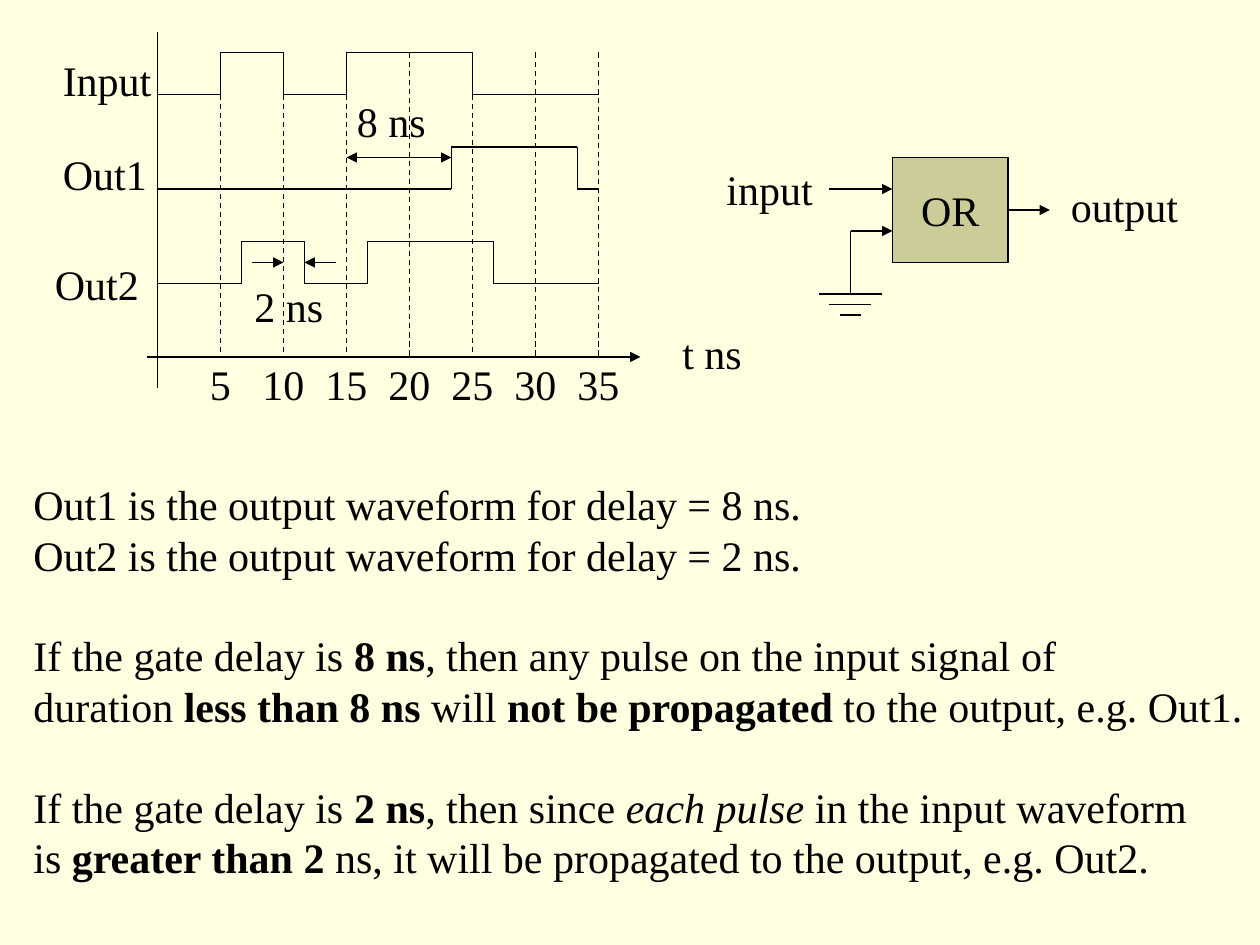
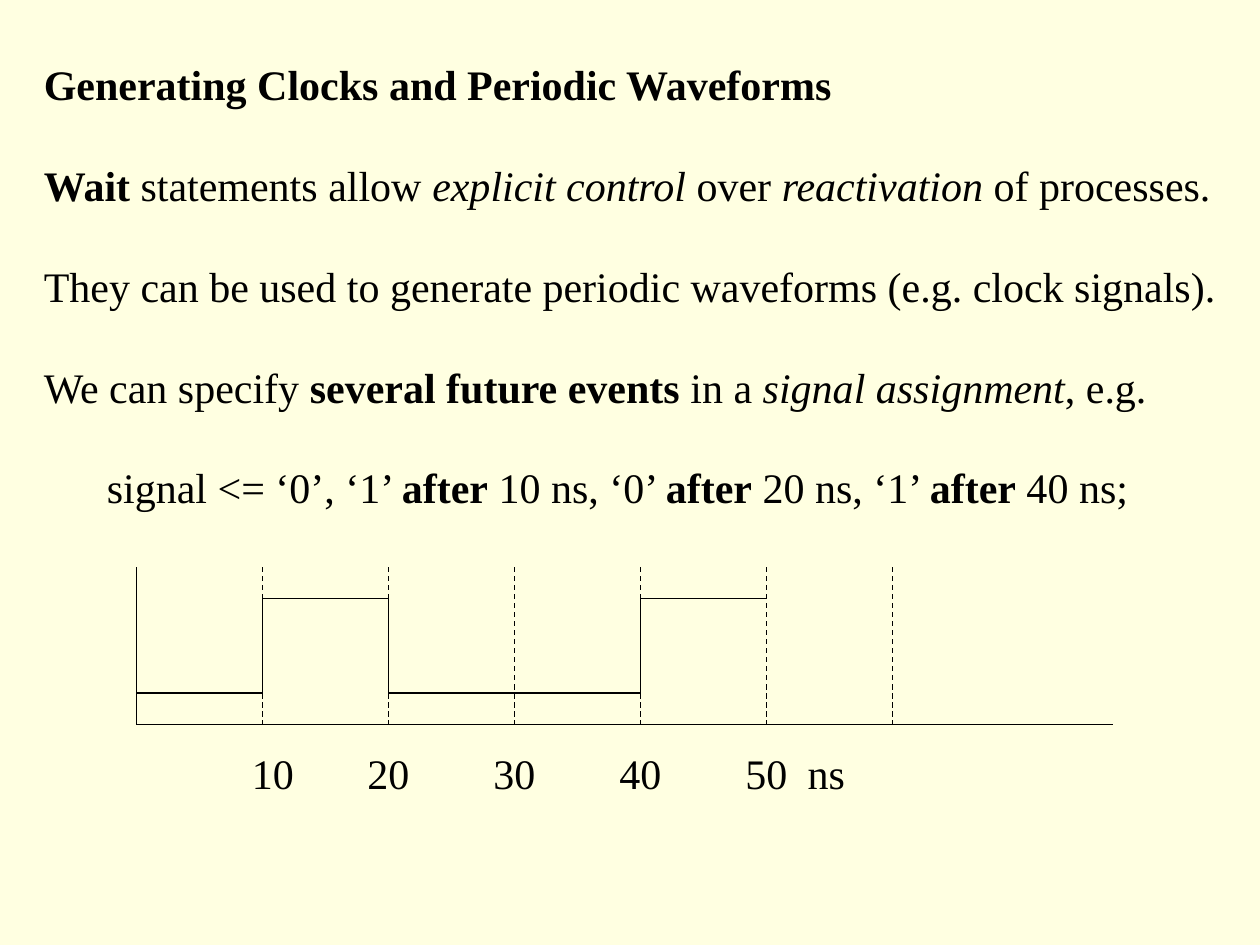
from lxml.etree import SubElement
from pptx import Presentation
from pptx.dml.color import RGBColor
from pptx.enum.dml import MSO_LINE
from pptx.enum.shapes import MSO_CONNECTOR, MSO_SHAPE
from pptx.enum.text import MSO_ANCHOR, MSO_AUTO_SIZE, PP_ALIGN
from pptx.oxml.ns import qn
from pptx.util import Pt

STRAIGHT = MSO_CONNECTOR.STRAIGHT
RECTANGLE = MSO_SHAPE.RECTANGLE
DASH = MSO_LINE.DASH
MIDDLE = MSO_ANCHOR.MIDDLE
FIT_SHAPE = MSO_AUTO_SIZE.SHAPE_TO_FIT_TEXT
CENTER = PP_ALIGN.CENTER

CREAM = RGBColor(0xFF, 0xFF, 0xE1)
KHAKI = RGBColor(0xCC, 0xCC, 0x99)
BLACK = RGBColor(0x00, 0x00, 0x00)

FONT = "Times New Roman"
FONT_SIZE = 24
LINE_HEIGHT = 28.8
LINE_WIDTH = 0.75
LABEL_HEIGHT = 36
BOLD = {"bold": True}
ITALIC = {"italic": True}


def add_span(para, text, bold=False, italic=False):
    """Append one formatted run to a paragraph."""
    span = para.add_run()
    span.text = text
    font = span.font
    font.name, font.size, font.color.rgb = FONT, Pt(FONT_SIZE), BLACK
    font.bold, font.italic = bold, italic


class Sketch:
    """Draws timing diagrams and text on the current slide in one style."""

    def __init__(self):
        """Open an empty deck."""
        self.deck = Presentation()
        self.deck.slide_width, self.deck.slide_height = Pt(720), Pt(540)
        self.page = None

    def new_page(self):
        """Start a slide on the blank layout."""
        self.page = self.deck.slides.add_slide(self.deck.slide_layouts[6])
        fill = self.page.background.fill
        fill.solid()
        fill.fore_color.rgb = CREAM

    def line(self, x1, y1, x2, y2, dashed=False, head=False, tail=False):
        """Draw a thin line, with arrowheads at its start or end if asked."""
        line = self.page.shapes.add_connector(STRAIGHT, Pt(x1), Pt(y1), Pt(x2), Pt(y2))
        line.line.color.rgb = BLACK
        line.line.width = Pt(LINE_WIDTH)
        if dashed:
            line.line.dash_style = DASH
        properties = line._element.spPr
        outline = properties.find(qn("a:ln"))
        for wanted, tag in ((head, "a:headEnd"), (tail, "a:tailEnd")):
            if wanted:
                SubElement(outline, qn(tag), type="triangle")
        SubElement(properties, qn("a:effectLst"))
        return line

    def wave(self, start, end, low, high, edges):
        """Draw a square wave that begins low and toggles at each edge."""
        level, other = low, high
        for edge in edges:
            self.line(start, level, edge, level)
            self.line(edge, low, edge, high)
            start, level, other = edge, other, level
        self.line(start, level, end, level)

    def text(self, left, top, width, paragraphs, height=LABEL_HEIGHT):
        """Place a box whose paragraphs are (spans, gap before, indent)."""
        box = self.page.shapes.add_textbox(Pt(left), Pt(top), Pt(width), Pt(height))
        frame = box.text_frame
        frame.word_wrap = True
        frame.auto_size = FIT_SHAPE
        for index, (spans, gap, indent) in enumerate(paragraphs):
            para = frame.add_paragraph() if index else frame.paragraphs[0]
            para.line_spacing = Pt(LINE_HEIGHT)
            if gap:
                para.space_before = Pt(gap)
            if indent:
                para._p.get_or_add_pPr().set("marL", str(Pt(indent)))
            for text, style in spans:
                add_span(para, text, **style)

    def label(self, left, top, width, text):
        """Place a single plain line of text."""
        self.text(left, top, width, [([(text, {})], 0, 0)])

    def scale(self, left, top, width, text, stops):
        """Place axis numbers on (position, alignment) tab stops."""
        box = self.page.shapes.add_textbox(Pt(left), Pt(top), Pt(width), Pt(LABEL_HEIGHT))
        box.text_frame.word_wrap = True
        para = box.text_frame.paragraphs[0]
        tabs = SubElement(para._p.get_or_add_pPr(), qn("a:tabLst"))
        for position, alignment in stops:
            SubElement(tabs, qn("a:tab"), pos=str(Pt(position)), algn=alignment)
        para.line_spacing = Pt(LINE_HEIGHT)
        add_span(para, text)

    def gate(self, left, top, width, height, text):
        """Draw a logic gate as a labelled rectangle."""
        gate = self.page.shapes.add_shape(RECTANGLE, Pt(left), Pt(top), Pt(width), Pt(height))
        gate.shadow.inherit = False
        gate.fill.solid()
        gate.fill.fore_color.rgb = KHAKI
        gate.line.color.rgb = BLACK
        gate.line.width = Pt(LINE_WIDTH)
        frame = gate.text_frame
        frame.word_wrap = False
        frame.vertical_anchor = MIDDLE
        para = frame.paragraphs[0]
        para.alignment = CENTER
        para.line_spacing = Pt(LINE_HEIGHT)
        add_span(para, text)
        return gate


def draw_delay_waveforms(sketch):
    """Draw the input and the two delayed outputs against time."""
    origin, step, end, axis = 90, 36, 342, 204
    swing = 24
    input_low, out1_low, out2_low = 54, 108, 162
    input_edges = [origin + step * count for count in (1, 2, 3, 5)]
    long_delay, short_delay = 60, 12

    sketch.line(84, axis, 366, axis, tail=True)
    sketch.line(origin, 18, origin, 222)
    for count in range(1, 8):
        x = origin + step * count
        top = input_low if x in input_edges else input_low - swing
        sketch.line(x, top, x, axis, dashed=True)
    for low, edges in (
        (input_low, input_edges),
        (out1_low, [edge + long_delay for edge in input_edges[2:]]),
        (out2_low, [edge + short_delay for edge in input_edges]),
    ):
        sketch.wave(origin, end, low, low - swing, edges)

    pulse_start, pulse_end = input_edges[2], input_edges[1]
    sketch.line(pulse_start, 90, pulse_start + long_delay, 90, head=True, tail=True)
    sketch.line(pulse_end - 18, 150, pulse_end, 150, tail=True)
    sketch.line(pulse_end + 30, 150, pulse_end + short_delay, 150, tail=True)
    for left, top, width, text in (
        (138.3, 156.5, 60, "2 ns"),
        (196.8, 51.3, 60, "8 ns"),
        (28.8, 27.4, 72, "Input"),
        (28.8, 81.3, 68, "Out1"),
        (24.2, 144, 68, "Out2"),
        (382.8, 183.6, 54, "t ns"),
    ):
        sketch.label(left, top, width, text)
    numbers = "".join(f"\t{5 * count}" for count in range(1, 8))
    stops = [(12 + step * count, "ctr") for count in range(7)]
    sketch.scale(106.8, 201.6, 264, numbers, stops)


def draw_or_gate(sketch):
    """Draw the gate with one signal input and one grounded input."""
    gate_left, ground = 510, 486
    gate = sketch.gate(gate_left, 90, 66, 60, "OR")
    sketch.line(474, 108, gate_left, 108, tail=True)
    sketch.line(ground, 132, gate_left, 132, tail=True)
    sketch.line(ground, 132, ground, 168)
    for count in range(3):
        half, y = 18 - 6 * count, 168 + 6 * count
        sketch.line(ground - half, y, ground + half, y)
    output = sketch.line(576, 120, 600, 120, tail=True)
    output.begin_connect(gate, 3)
    sketch.label(408, 90, 70, "input")
    sketch.label(604.8, 99.4, 82, "output")


def build_delay_page(sketch):
    """Build the slide on gate delay."""
    sketch.new_page()
    draw_delay_waveforms(sketch)
    draw_or_gate(sketch)
    sketch.text(12, 270, 708, [
        ([("Out1 is the output waveform for delay = 8 ns.", {})], 0, 0),
        ([("Out2 is the output waveform for delay = 2 ns.", {})], 0, 0),
        ([("If the gate delay is ", {}), ("8 ns", BOLD),
          (", then any pulse on the input signal of", {})], LINE_HEIGHT, 0),
        ([("duration ", {}), ("less than 8 ns", BOLD), (" will ", {}),
          ("not be propagated", BOLD), (" to the output, e.g. Out1.", {})], 0, 0),
        ([("If the gate delay is ", {}), ("2 ns", BOLD), (", then since ", {}),
          ("each pulse", ITALIC), (" in the input waveform", {})], LINE_HEIGHT, 0),
        ([("is ", {}), ("greater than 2", BOLD),
          (" ns, it will be propagated to the output, e.g. Out2.", {})], 0, 0),
    ], height=237.6)


def build_clock_page(sketch):
    """Build the slide on periodic waveforms."""
    sketch.new_page()
    sketch.text(18, 30, 690, [
        ([("Generating Clocks and Periodic Waveforms", BOLD)], 0, 0),
        ([("Wait", BOLD), (" statements allow ", {}), ("explicit control", ITALIC),
          (" over ", {}), ("reactivation", ITALIC), (" of processes.", {})], LINE_HEIGHT, 0),
        ([("They can be used to generate periodic waveforms (e.g. clock signals).", {})],
         LINE_HEIGHT, 0),
        ([("We can specify ", {}), ("several future events", BOLD), (" in a ", {}),
          ("signal assignment", ITALIC), (", e.g.", {})], LINE_HEIGHT, 0),
        ([("signal <= ‘0’, ‘1’ ", {}), ("after", BOLD), (" 10 ns, ‘0’ ", {}),
          ("after", BOLD), (" 20 ns, ‘1’ ", {}), ("after", BOLD), (" 40 ns;", {})],
         LINE_HEIGHT, 36),
    ], height=266.4)

    origin, step, top, axis = 78, 72, 324, 414
    sketch.line(origin, top, origin, axis)
    sketch.line(origin, axis, 636, axis)
    edges = [origin + step * count for count in (1, 2, 4)]
    sketch.wave(origin, origin + 5 * step, 396, 342, edges)
    for count in range(1, 7):
        x = origin + step * count
        sketch.line(x, top, x, axis, dashed=True)
    stops = [(78 + step * count, "ctr") for count in range(4)] + [(317.6, "l")]
    sketch.scale(136.8, 423.4, 364, "10\t20\t30\t40\t50\tns", stops)


def main():
    """Build both slides and save the deck."""
    sketch = Sketch()
    build_delay_page(sketch)
    build_clock_page(sketch)
    sketch.deck.save("out.pptx")


if __name__ == "__main__":
    main()
